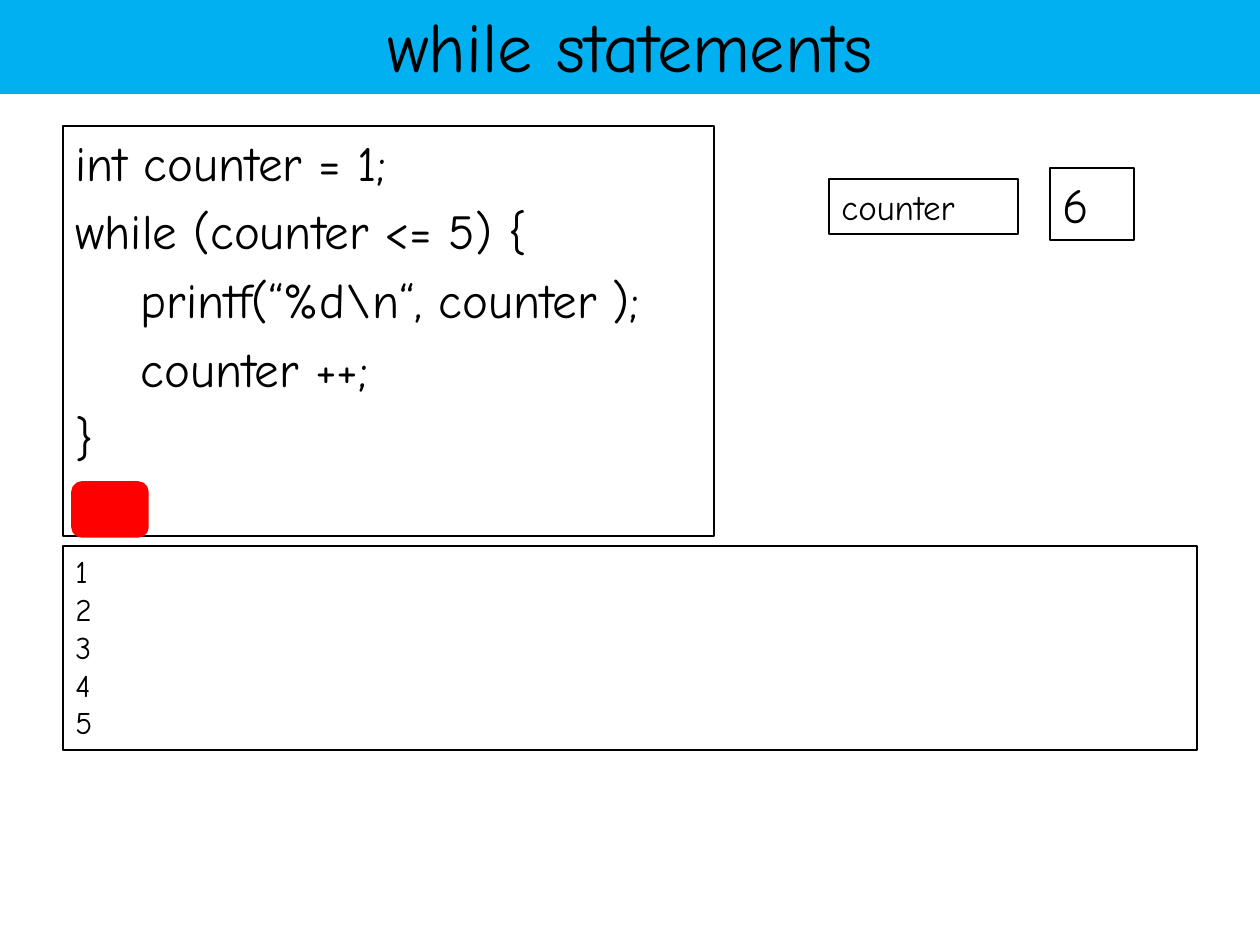
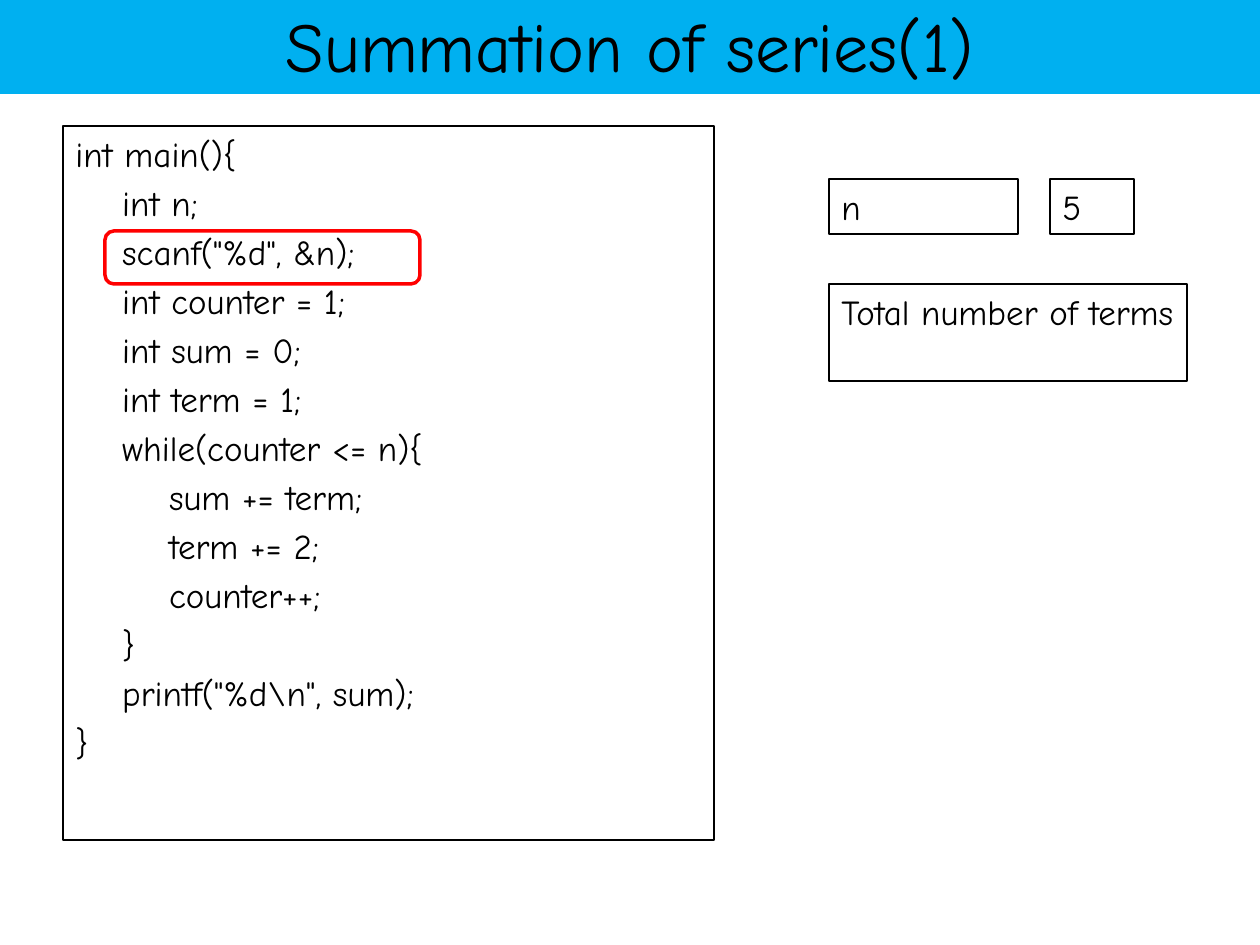
from dataclasses import dataclass

from pptx import Presentation
from pptx import util as u
from pptx.dml.color import RGBColor
from pptx.enum import shapes, text
from pptx.slide import Slide

PX = 914400 / 126  # EMU per px
FONT = "Comic Neue"
COLORS = {"band": "00B0F0", "ink": "000000", "marker": "FF0000"}

# Shared positions and sizes
CODE_LEFT, CODE_TOP, CODE_WIDTH = 63, 126, 651
NAME_LEFT, VALUE_LEFT, VARIABLE_TOP = 829, 1050, 179
NAME_WIDTH, VALUE_WIDTH, VARIABLE_HEIGHT = 189, 84, 55
MARKER_HEIGHT = 53


@dataclass
class Area:
    left: int
    top: int
    width: int
    height: int

    def emu(self) -> list[int]:
        return [round(side * PX) for side in (self.left, self.top, self.width, self.height)]


@dataclass
class Box:
    area: Area
    content: str
    size: int
    gap: float = 0  # space between lines, as a share of the font size


@dataclass
class Marker:
    area: Area
    filled: bool = False


@dataclass
class Lesson:
    title: str
    boxes: list[Box]
    marker: Marker


TITLE_BAND = Area(-1, -4, 1262, 98)


def color(name: str) -> RGBColor:
    return RGBColor.from_string(COLORS[name])


def code_box(height: int, code: str, size: int) -> Box:
    return Box(Area(CODE_LEFT, CODE_TOP, CODE_WIDTH, height), code, size, gap=0.2)


def name_box(name: str) -> Box:
    return Box(Area(NAME_LEFT, VARIABLE_TOP, NAME_WIDTH, VARIABLE_HEIGHT), name, 20)


def style_paragraph(paragraph, size: int) -> None:
    paragraph.font.name = FONT
    paragraph.font.size = u.Pt(size)
    paragraph.font.color.rgb = color("ink")


def draw_title(slide: Slide, wording: str) -> None:
    title = slide.shapes.title
    title.left, title.top, title.width, title.height = TITLE_BAND.emu()
    title.fill.solid()
    title.fill.fore_color.rgb = color("band")
    frame = title.text_frame
    frame.text = wording
    frame.auto_size = text.MSO_AUTO_SIZE.NONE
    frame.vertical_anchor = text.MSO_ANCHOR.MIDDLE
    frame.paragraphs[0].alignment = text.PP_ALIGN.CENTER
    style_paragraph(frame.paragraphs[0], 40)


def draw_box(slide: Slide, box: Box) -> None:
    panel = slide.shapes.add_textbox(*box.area.emu())
    panel.line.color.rgb = color("ink")
    panel.line.width = u.Pt(0.75)
    frame = panel.text_frame
    frame.word_wrap = True
    frame.text = box.content
    for number, paragraph in enumerate(frame.paragraphs):
        if number and box.gap:
            paragraph.space_before = u.Pt(box.size * box.gap)
        style_paragraph(paragraph, box.size)


def draw_marker(slide: Slide, marker: Marker) -> None:
    frame = slide.shapes.add_shape(shapes.MSO_SHAPE.ROUNDED_RECTANGLE, *marker.area.emu())
    frame.shadow.inherit = False
    frame.line.color.rgb = color("marker")
    frame.line.width = u.Pt(2)
    if marker.filled:
        frame.fill.solid()
        frame.fill.fore_color.rgb = color("marker")
    else:
        frame.fill.background()


# Code listings
WHILE_CODE = r"""int counter = 1;
while (counter <= 5) {
    printf(“%d\n“, counter );
    counter ++;
}"""

SERIES_CODE = r"""int main(){
    int n;
    scanf("%d", &n);
    int counter = 1;
    int sum = 0;
    int term = 1;
    while(counter <= n){
        sum += term;
        term += 2;
        counter++;
    }
    printf("%d\n", sum);
}"""

LESSONS = [
    Lesson(
        "while statements",
        [
            code_box(410, WHILE_CODE, 28),
            Box(Area(CODE_LEFT, 546, 1134, 204), "\n".join(str(n) for n in range(1, 6)), 18),
            Box(Area(VALUE_LEFT, 168, VALUE_WIDTH, 72), "6", 28),
            name_box("counter"),
        ],
        Marker(Area(73, 483, 74, MARKER_HEIGHT), filled=True),
    ),
    Lesson(
        "Summation of series(1)",
        [
            code_box(714, SERIES_CODE, 20),
            Box(Area(VALUE_LEFT, VARIABLE_TOP, VALUE_WIDTH, VARIABLE_HEIGHT), "5", 20),
            name_box("n"),
            Box(Area(NAME_LEFT, 284, 358, 97), "Total number of terms", 20),
        ],
        Marker(Area(105, 231, 315, MARKER_HEIGHT)),
    ),
]


def main() -> None:
    deck = Presentation()
    deck.slide_width, deck.slide_height = u.Inches(10), u.Inches(7.5)
    title_only = deck.slide_layouts[5]
    for lesson in LESSONS:
        slide = deck.slides.add_slide(title_only)
        draw_title(slide, lesson.title)
        for box in lesson.boxes:
            draw_box(slide, box)
        draw_marker(slide, lesson.marker)
    deck.save("out.pptx")


if __name__ == "__main__":
    main()
